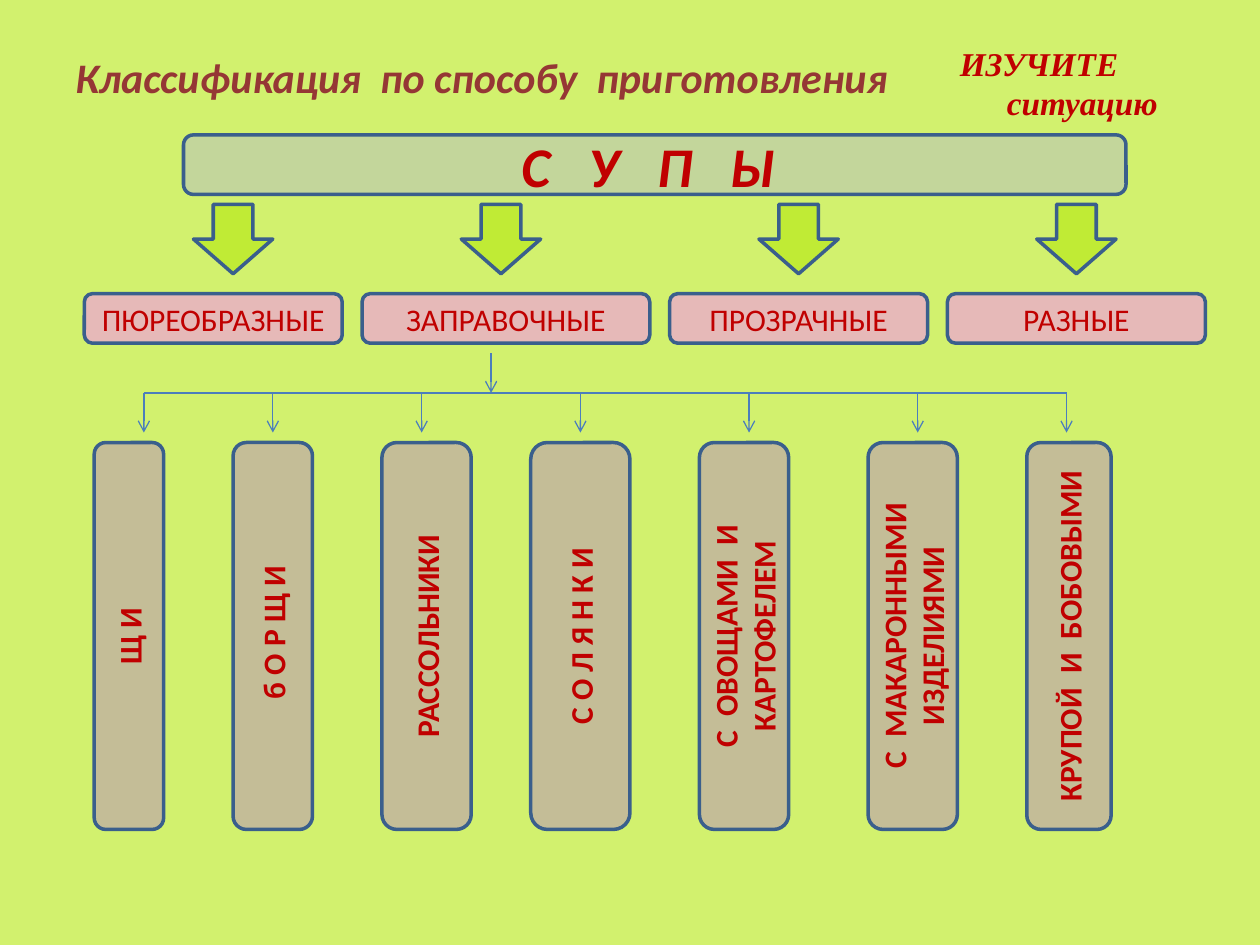
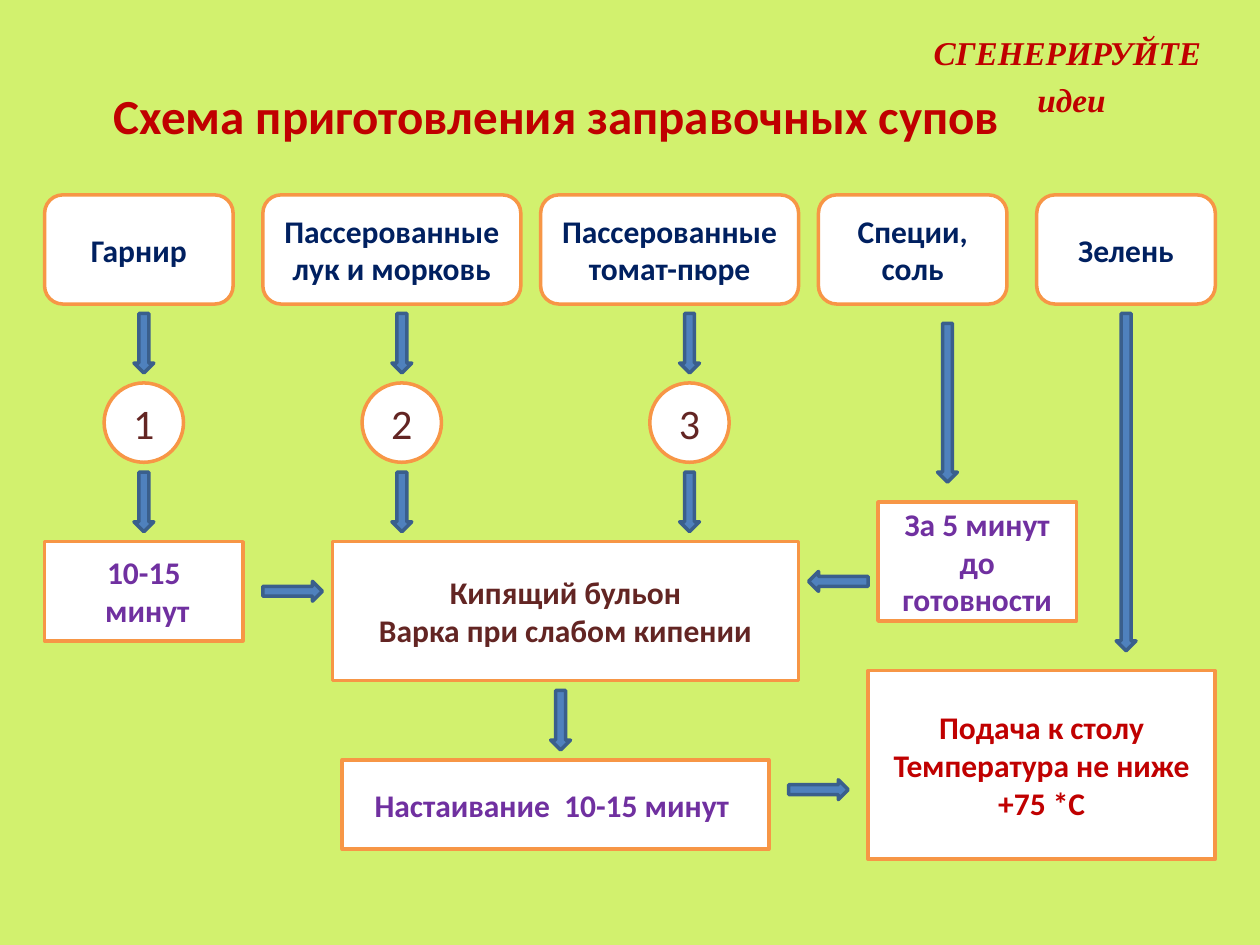
"""Build two slides on soups: their classification and how dressed soups are cooked."""
import dataclasses

import lxml.etree
import pptx
import pptx.dml.color
import pptx.enum.shapes
import pptx.enum.text
import pptx.oxml.ns
import pptx.util

Cm, Pt = pptx.util.Cm, pptx.util.Pt
SHAPE = pptx.enum.shapes.MSO_SHAPE
CENTER = pptx.enum.text.PP_ALIGN.CENTER
LEFT = pptx.enum.text.PP_ALIGN.LEFT
RGB = pptx.dml.color.RGBColor.from_string
qn = pptx.oxml.ns.qn


@dataclasses.dataclass(frozen=True)
class Theme:
    background: str = "D2F16E"
    lime: str = "C0EB35"
    sage: str = "C3D69B"
    pink: str = "E6B9B8"
    khaki: str = "C4BD97"
    white: str = "FFFFFF"
    blue: str = "4F81BD"
    navy_line: str = "3A5F8C"
    branch_line: str = "4B7EBC"
    orange: str = "F79646"
    red: str = "C00000"
    brick: str = "953735"
    brown: str = "632523"
    navy: str = "002060"
    purple: str = "7030A0"
    body_font: str = "Calibri"
    note_font: str = "Times New Roman"
    body: int = 18
    note: int = 19
    number: int = 24
    banner: int = 32
    outline: float = 2
    branch: float = 0.75


theme = Theme()


def write(frame, lines, color, size=theme.body, bold=True, italic=False,
          font=theme.body_font, align=CENTER):
    """Fill a text frame, one paragraph per line."""
    frame.word_wrap = True
    for index, line in enumerate(lines):
        paragraph = frame.add_paragraph() if index else frame.paragraphs[0]
        paragraph.alignment = align
        run = paragraph.add_run()
        run.text = line
        run.font.name, run.font.size = font, Pt(size)
        run.font.bold, run.font.italic = bold, italic
        run.font.color.rgb = RGB(color)


def add_part(slide, kind, box, fill, line, rotation=0):
    """Add a filled, outlined shape; box is left, top, width, height in cm."""
    part = slide.shapes.add_shape(kind, *map(Cm, box))
    part.shadow.inherit = False
    part.rotation = rotation
    part.fill.solid()
    part.fill.fore_color.rgb = RGB(fill)
    part.line.color.rgb = RGB(line)
    part.line.width = Pt(theme.outline)
    part.text_frame.vertical_anchor = pptx.enum.text.MSO_ANCHOR.MIDDLE
    return part


deck = pptx.Presentation()
deck.slide_width, deck.slide_height = Cm(25.4), Cm(19.05)
deck.slide_master.background.fill.solid()
deck.slide_master.background.fill.fore_color.rgb = RGB(theme.background)

headers = [
    ("Классификация  по способу  приготовления", (0.71, 0.74, 18, 1.6), 24, theme.brick, True,
     ["ИЗУЧИТЕ  ситуацию"], (19.1, 0.74, 5.6, 1.88), LEFT),
    ("Схема приготовления заправочных супов", (1.5, 1.12, 19.43, 2.41), 28, theme.red, False,
     ["СГЕНЕРИРУЙТЕ ", "идеи"], (18.5, 0.53, 6.2, 1.96), CENTER),
]
slides = []
for heading, heading_box, size, color, italic, task, task_box, align in headers:
    slide = deck.slides.add_slide(deck.slide_layouts[5])
    title = slide.shapes.title
    title.left, title.top, title.width, title.height = map(Cm, heading_box)
    title.text_frame.auto_size = pptx.enum.text.MSO_AUTO_SIZE.NONE
    title.text_frame.vertical_anchor = pptx.enum.text.MSO_ANCHOR.MIDDLE
    write(title.text_frame, [heading], color, size, italic=italic)

    note = slide.shapes.add_textbox(*map(Cm, task_box)).text_frame
    write(note, task, theme.red, theme.note, italic=True, font=theme.note_font, align=align)
    for paragraph in note.paragraphs:
        paragraph.space_before = Pt(theme.note * 0.2)
        properties = paragraph._p.get_or_add_pPr()
        properties.set("marL", str(Cm(0.95)))
        properties.set("indent", str(-Cm(0.95)))
    slides.append(slide)

classification, cooking = slides

soups = add_part(classification, SHAPE.ROUNDED_RECTANGLE, (3.7, 2.72, 19, 1.2),
                 theme.sage, theme.navy_line)
write(soups.text_frame, ["С   У   П   Ы "], theme.red, theme.banner, italic=True)

groups = [("ПЮРЕОБРАЗНЫЕ", 5.2, 3.9), ("ЗАПРАВОЧНЫЕ", 5.8, 9.3),
          ("ПРОЗРАЧНЫЕ", 5.2, 15.3), ("РАЗНЫЕ", 5.2, 20.9)]
group_left = 1.7
for name, width, arrow_left in groups:
    add_part(classification, SHAPE.DOWN_ARROW, (arrow_left, 4.12, 1.6, 1.4),
             theme.lime, theme.navy_line)
    group = add_part(classification, SHAPE.ROUNDED_RECTANGLE, (group_left, 5.92, width, 1),
                     theme.pink, theme.navy_line)
    write(group.text_frame, [name], theme.red, bold=False)
    group_left += width + 0.4

dressed = [
    ("Щ И", 1.9, 1.4, 2.9),
    (" б О Р Щ И", 4.7, 1.6, 5.5),
    ("РАССОЛЬНИКИ", 7.7, 1.8, 8.5),
    ("С О Л Я Н К И", 10.7, 2, 11.7),
    ("С  ОВОЩАМИ  И КАРТОФЕЛЕМ", 14.1, 1.8, 15.1),
    ("С  МАКАРОННЫМИ ИЗДЕЛИЯМИ", 17.5, 1.8, 18.5),
    ("КРУПОЙ  И  БОБОВЫМИ", 20.7, 1.7, 21.5),
]
column_height, column_middle = 7.8, 12.82
for name, left, width, branch_x in dressed:
    box = (left + (width - column_height) / 2, column_middle - width / 2, column_height, width)
    column = add_part(classification, SHAPE.ROUNDED_RECTANGLE, box,
                      theme.khaki, theme.navy_line, 270)
    write(column.text_frame, [name], theme.red)

rail_y = 7.92
branches = [(2.9, rail_y, 21.5, rail_y), (9.9, 7.12, 9.9, rail_y)]
branches += [(x, rail_y, x, 8.72) for *_, x in dressed]
for ends in branches:
    branch = classification.shapes.add_connector(
        pptx.enum.shapes.MSO_CONNECTOR.STRAIGHT, *map(Cm, ends))
    branch.line.color.rgb = RGB(theme.branch_line)
    branch.line.width = Pt(theme.branch)
    if ends[0] == ends[2]:
        lxml.etree.SubElement(branch.line._get_or_add_ln(), qn("a:tailEnd"), type="arrow")
    lxml.etree.SubElement(branch._element.spPr, qn("a:effectLst"))

ingredients = [("Гарнир", 0.9, 3.8), ("Пассерованные лук и морковь", 5.3, 5.2),
               ("Пассерованные томат-пюре", 10.9, 5.2), ("Специи, соль", 16.5, 3.8),
               ("Зелень", 20.9, 3.6)]
for name, left, width in ingredients:
    ingredient = add_part(cooking, SHAPE.ROUNDED_RECTANGLE, (left, 3.93, width, 2.2),
                          theme.white, theme.orange)
    write(ingredient.text_frame, [name], theme.navy)

stages = [
    (["Кипящий бульон", "Варка при слабом кипении"], (6.7, 10.92, 9.4, 2.8), theme.brown),
    (["10-15", " минут"], (0.9, 10.92, 4, 2), theme.purple),
    (["За 5 минут до готовности"], (17.7, 10.12, 4, 2.4), theme.purple),
    (["Настаивание  10-15 минут "], (6.9, 15.32, 8.6, 1.8), theme.purple),
    (["Подача к столу", "Температура не ниже +75 *С"], (17.5, 13.52, 7, 3.8), theme.red),
]
for lines, box, color in stages:
    stage = add_part(cooking, SHAPE.RECTANGLE, box, theme.white, theme.orange)
    write(stage.text_frame, lines, color)

flows = [(5.9, 11.92, 1.2, 0), (16.9, 11.72, 1.2, 180), (16.5, 15.92, 1.2, 0),
         (11.3, 14.52, 1.2, 90), (22.7, 9.72, 6.8, 90), (19.1, 8.12, 3.2, 90)]
for number, center_x in enumerate((2.9, 8.1, 13.9), start=1):
    step = add_part(cooking, SHAPE.FLOWCHART_CONNECTOR, (center_x - 0.8, 7.72, 1.6, 1.6),
                    theme.white, theme.orange)
    write(step.text_frame, [str(number)], theme.brown, theme.number, bold=False)
    flows += [(center_x, y, 1.2, 90) for y in (6.92, 10.12)]

for center_x, center_y, length, rotation in flows:
    add_part(cooking, SHAPE.RIGHT_ARROW, (center_x - length / 2, center_y - 0.2, length, 0.4),
             theme.blue, theme.navy_line, rotation)

deck.save("out.pptx")
